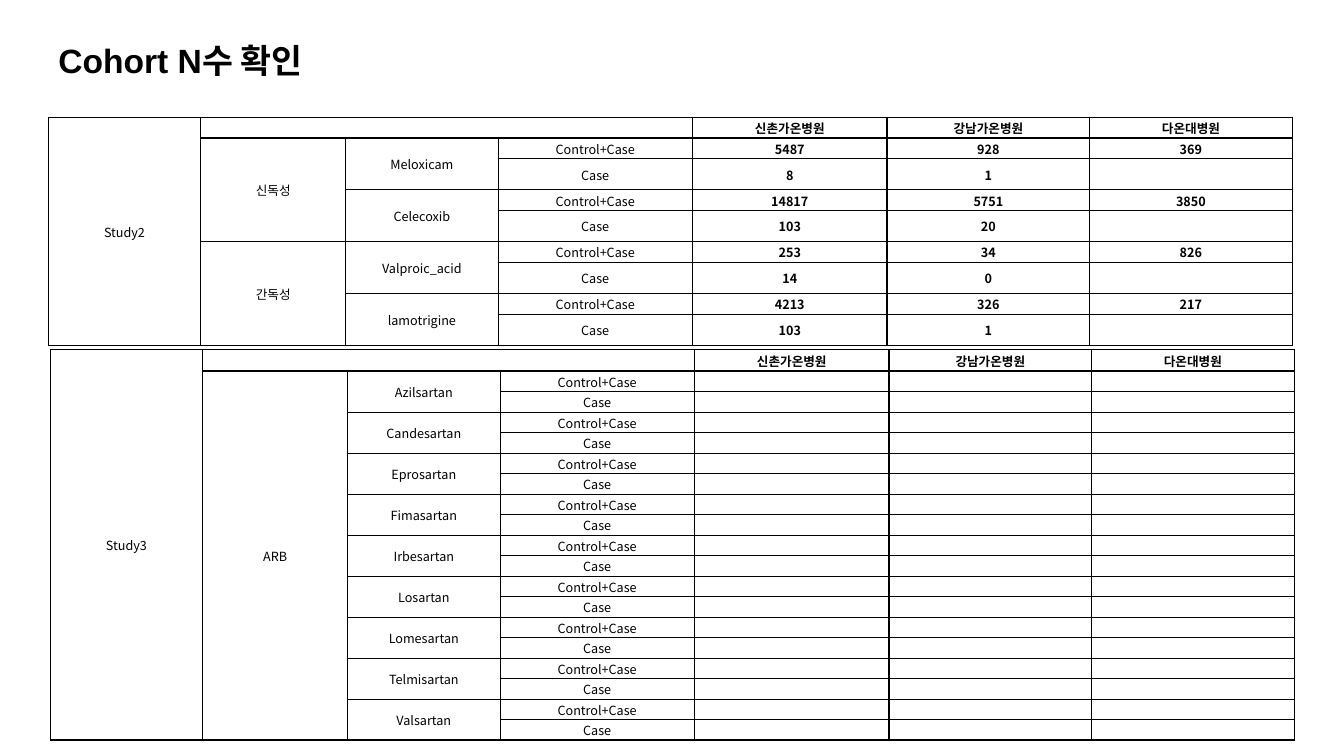
import pptx
import pptx.dml.color
import pptx.enum.text
import pptx.oxml
import pptx.oxml.ns
import pptx.util
from pptx.util import Pt

BLACK = pptx.dml.color.RGBColor(0, 0, 0)
TITLE_FONT = "Arial"
KOREAN_FONT = "Noto Sans CJK KR"
NO_STYLE = "{2D5ABB26-0587-4C30-8999-92F81FD0307C}"
CELL_SIZE = 9

HOSPITALS = ["신촌가온병원", "강남가온병원", "다온대병원"]
COUNT_KINDS = ["Control+Case", "Case"]
COLUMN_WIDTHS = [108.7, 103.7, 108.7, 139, 139, 144.7, 144.7]
FIRST_COUNT_COLUMN = 4
# Line widths at the column boundaries, left to right
COLUMN_LINES = [1, 1, 0.5, 0.5, 1, 1, 1, 1]

# Group -> drug -> counts per hospital, for Control+Case and for Case
STUDY2 = {
    "신독성": {
        "Meloxicam": [["5487", "928", "369"], ["8", "1", ""]],
        "Celecoxib": [["14817", "5751", "3850"], ["103", "20", ""]],
    },
    "간독성": {
        "Valproic_acid": [["253", "34", "826"], ["14", "0", ""]],
        "lamotrigine": [["4213", "326", "217"], ["103", "1", ""]],
    },
}
ARB_DRUGS = ["Azilsartan", "Candesartan", "Eprosartan", "Fimasartan", "Irbesartan",
             "Losartan", "Lomesartan", "Telmisartan", "Valsartan"]
STUDY3 = {"ARB": {drug: [["", "", ""], ["", "", ""]] for drug in ARB_DRUGS}}


def format_run(run, size, latin_font, bold):
    run.font.size = Pt(size)
    run.font.name = latin_font
    run.font.bold = bold
    run.font.color.rgb = BLACK
    east_asian = pptx.oxml.parse_xml(
        f'<a:ea {pptx.oxml.ns.nsdecls("a")} typeface="{KOREAN_FONT}"/>')
    run.font._element.find(pptx.oxml.ns.qn("a:latin")).addnext(east_asian)


def add_title(slide, text):
    title = slide.shapes.add_textbox(Pt(34.6), Pt(25.2), Pt(888.5), Pt(39.6))
    frame = title.text_frame
    frame.word_wrap = True
    frame.vertical_anchor = pptx.enum.text.MSO_ANCHOR.MIDDLE
    frame.text = text
    frame.paragraphs[0].line_spacing = 0.9
    format_run(frame.paragraphs[0].runs[0], 24, TITLE_FONT, True)


def fill_cell(cell, text, bold):
    cell.fill.background()
    cell.vertical_anchor = pptx.enum.text.MSO_ANCHOR.MIDDLE
    cell.margin_left = cell.margin_right = cell.margin_top = Pt(0.7)
    cell.margin_bottom = Pt(0)
    cell.text_frame.text = text
    paragraph = cell.text_frame.paragraphs[0]
    paragraph.alignment = pptx.enum.text.PP_ALIGN.CENTER
    if text:
        format_run(paragraph.runs[0], CELL_SIZE, KOREAN_FONT, bold)
    else:
        # Keeps an empty cell from stretching its row
        paragraph._p.append(pptx.oxml.parse_xml(
            f'<a:endParaRPr {pptx.oxml.ns.nsdecls("a")} sz="{CELL_SIZE * 100}"/>'))


def set_borders(cell, left, right, top, bottom):
    widths = {"lnL": left, "lnR": right, "lnT": top, "lnB": bottom}
    for position, (side, width) in enumerate(widths.items()):
        line = pptx.oxml.parse_xml(
            f'<a:{side} {pptx.oxml.ns.nsdecls("a")} w="{int(Pt(width))}">'
            f'<a:solidFill><a:srgbClr val="{BLACK}"/></a:solidFill></a:{side}>')
        cell._tc.get_or_add_tcPr().insert(position, line)


def add_study(slide, study, groups, left, top, row_heights):
    """Draw one study: a header row, then two rows for each drug."""
    header_height, *pair_heights = row_heights
    drug_count = sum(len(drugs) for drugs in groups.values())
    heights = [header_height] + pair_heights * drug_count
    row_count = len(heights)
    frame = slide.shapes.add_table(row_count, len(COLUMN_WIDTHS), Pt(left), Pt(top),
                                   Pt(sum(COLUMN_WIDTHS)), Pt(sum(heights)))
    table = frame.table
    table.first_row = table.horz_banding = False
    table._tbl.tblPr.find(pptx.oxml.ns.qn("a:tableStyleId")).text = NO_STYLE
    for column, width in zip(table.columns, COLUMN_WIDTHS):
        column.width = Pt(width)
    for row, height in zip(table.rows, heights):
        row.height = Pt(height)

    # Wording and merged blocks
    texts = {(0, 0): study}
    table.cell(0, 0).merge(table.cell(row_count - 1, 0))
    table.cell(0, 1).merge(table.cell(0, FIRST_COUNT_COLUMN - 1))
    for offset, hospital in enumerate(HOSPITALS):
        texts[0, FIRST_COUNT_COLUMN + offset] = hospital
    row = 1
    for group, drugs in groups.items():
        texts[row, 1] = group
        table.cell(row, 1).merge(table.cell(row + 2 * len(drugs) - 1, 1))
        for drug, counts in drugs.items():
            texts[row, 2] = drug
            table.cell(row, 2).merge(table.cell(row + 1, 2))
            for kind, values in zip(COUNT_KINDS, counts):
                texts[row, 3] = kind
                for offset, value in enumerate(values):
                    texts[row, FIRST_COUNT_COLUMN + offset] = value
                row += 1

    # Cell formats and lines
    row_lines = [1, 2] + [0.5] * (row_count - 2) + [1]
    for r in range(row_count):
        for c in range(len(COLUMN_WIDTHS)):
            cell = table.cell(r, c)
            fill_cell(cell, texts.get((r, c), ""), c >= FIRST_COUNT_COLUMN)
            if not cell.is_spanned:
                end_row = r + (cell.span_height if cell.is_merge_origin else 1)
                end_column = c + (cell.span_width if cell.is_merge_origin else 1)
                set_borders(cell, COLUMN_LINES[c], COLUMN_LINES[end_column],
                            row_lines[r], row_lines[end_row])


def main():
    deck = pptx.Presentation()
    deck.slide_width, deck.slide_height = Pt(960), Pt(540)
    slide = deck.slides.add_slide(deck.slide_layouts[6])
    add_title(slide, "Cohort N수 확인")
    # Row heights: header, Control+Case, Case
    add_study(slide, "Study2", STUDY2, 34.6, 83.7, [14.9, 14.8, 22.2])
    add_study(slide, "Study3", STUDY3, 36, 249.8, [15.2, 14.7, 14.6])
    deck.save("out.pptx")


if __name__ == "__main__":
    main()
